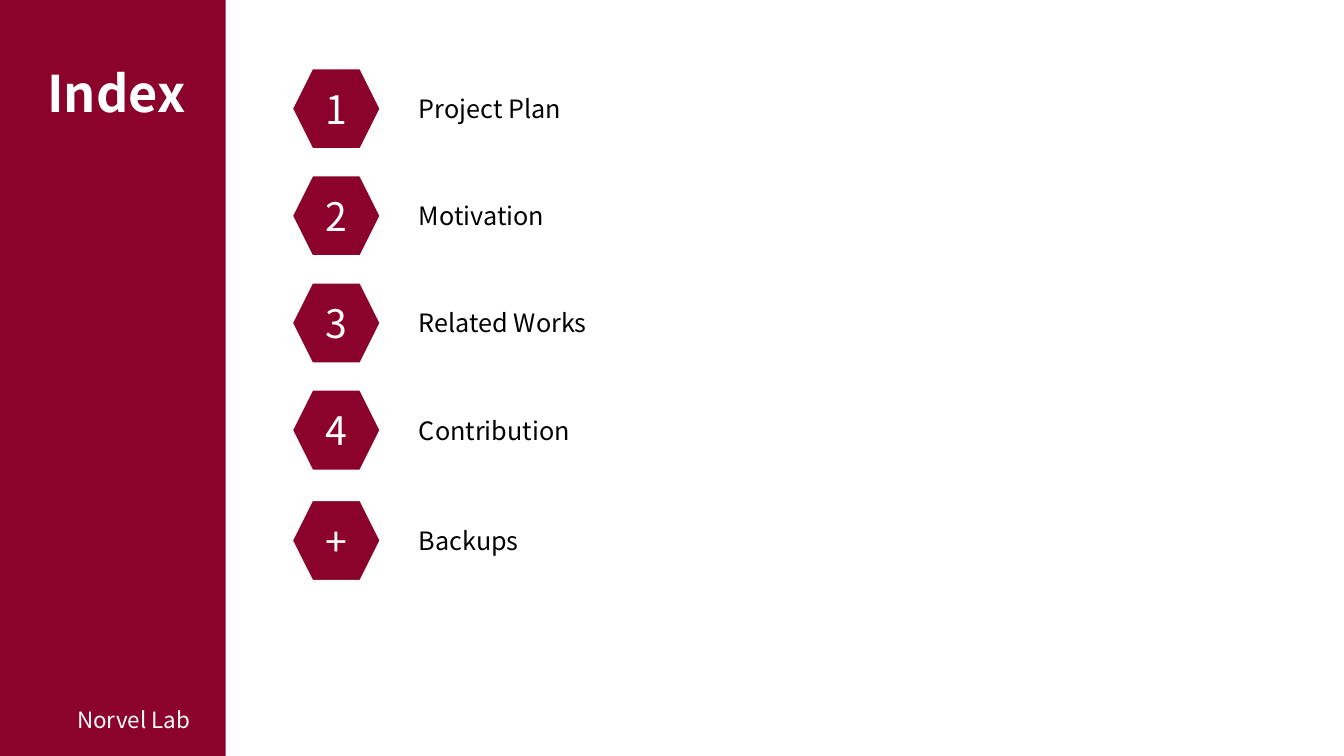
from dataclasses import dataclass

import pptx
import pptx.dml.color
import pptx.enum.shapes
import pptx.enum.text
import pptx.shapes.autoshape
import pptx.slide
import pptx.text.text
import pptx.util

Cm = pptx.util.Cm
Pt = pptx.util.Pt
Shape = pptx.shapes.autoshape.Shape
MSO_SHAPE = pptx.enum.shapes.MSO_SHAPE
PP_ALIGN = pptx.enum.text.PP_ALIGN
MSO_ANCHOR = pptx.enum.text.MSO_ANCHOR

CRIMSON = pptx.dml.color.RGBColor(0x8B, 0x03, 0x2A)
WHITE = pptx.dml.color.RGBColor(0xFF, 0xFF, 0xFF)
BLACK = pptx.dml.color.RGBColor(0x00, 0x00, 0x00)
FONT = "Noto Sans CJK KR"

FIRST_TOP = 1.57
ENTRY_STEP = 2.7
BACKUP_GAP = 0.08


@dataclass(frozen=True)
class Box:
    """Position and size in centimetres."""
    left: float
    top: float
    width: float
    height: float

    def lengths(self) -> tuple[pptx.util.Length, ...]:
        return Cm(self.left), Cm(self.top), Cm(self.width), Cm(self.height)


@dataclass(frozen=True)
class TextStyle:
    size: float
    color: pptx.dml.color.RGBColor
    bold: bool = False
    align: PP_ALIGN = PP_ALIGN.LEFT
    anchor: MSO_ANCHOR = MSO_ANCHOR.MIDDLE


@dataclass(frozen=True)
class IndexEntry:
    marker: str
    topic: str
    extra_gap: float = 0


TITLE = TextStyle(36, WHITE, bold=True, align=PP_ALIGN.CENTER)
MARKER = TextStyle(28, WHITE, align=PP_ALIGN.CENTER)
TOPIC = TextStyle(18, BLACK, anchor=MSO_ANCHOR.TOP)
LAB = TextStyle(16, WHITE)

ENTRIES = [
    IndexEntry("1", "Project Plan"),
    IndexEntry("2", "Motivation"),
    IndexEntry("3", "Related Works"),
    IndexEntry("4", "Contribution"),
    IndexEntry("+", "Backups", BACKUP_GAP),
]


def write(shape: Shape, text: str, style: TextStyle) -> pptx.text.text._Paragraph:
    frame = shape.text_frame
    frame.word_wrap = True
    frame.vertical_anchor = style.anchor
    frame.text = text
    paragraph = frame.paragraphs[0]
    paragraph.alignment = style.align
    font = paragraph.runs[0].font
    font.name = FONT
    font.size = Pt(style.size)
    font.bold = style.bold
    font.color.rgb = style.color
    return paragraph


def add_crimson_shape(slide: pptx.slide.Slide, kind: MSO_SHAPE, box: Box) -> Shape:
    shape = slide.shapes.add_shape(kind, *box.lengths())
    shape.shadow.inherit = False
    shape.fill.solid()
    shape.fill.fore_color.rgb = CRIMSON
    shape.line.fill.background()
    return shape


def add_label(slide: pptx.slide.Slide, box: Box, text: str,
              style: TextStyle) -> pptx.text.text._Paragraph:
    return write(slide.shapes.add_textbox(*box.lengths()), text, style)


def add_entry(slide: pptx.slide.Slide, entry: IndexEntry, top: float) -> None:
    hexagon = add_crimson_shape(slide, MSO_SHAPE.HEXAGON, Box(7.19, top, 2.57, 2.34))
    hexagon.line.color.rgb = WHITE
    hexagon.line.width = Pt(10)
    write(hexagon, entry.marker, MARKER)
    add_label(slide, Box(10.31, top + 0.66, 8.13, 1.02), entry.topic, TOPIC)


def main() -> None:
    deck = pptx.Presentation()
    deck.slide_width, deck.slide_height = Cm(33.87), Cm(19.05)
    slide = deck.slides.add_slide(deck.slide_layouts[6])

    add_crimson_shape(slide, MSO_SHAPE.RECTANGLE, Box(0, 0, 5.69, 19.05))
    title = add_label(slide, Box(0.56, 1.35, 4.75, 2.16), "Index", TITLE)
    title.line_spacing = 0.9
    add_label(slide, Box(1.7, 17.65, 7.24, 0.94), "Norvel Lab", LAB)

    for row, entry in enumerate(ENTRIES):
        add_entry(slide, entry, FIRST_TOP + row * ENTRY_STEP + entry.extra_gap)

    deck.save("out.pptx")


if __name__ == "__main__":
    main()
